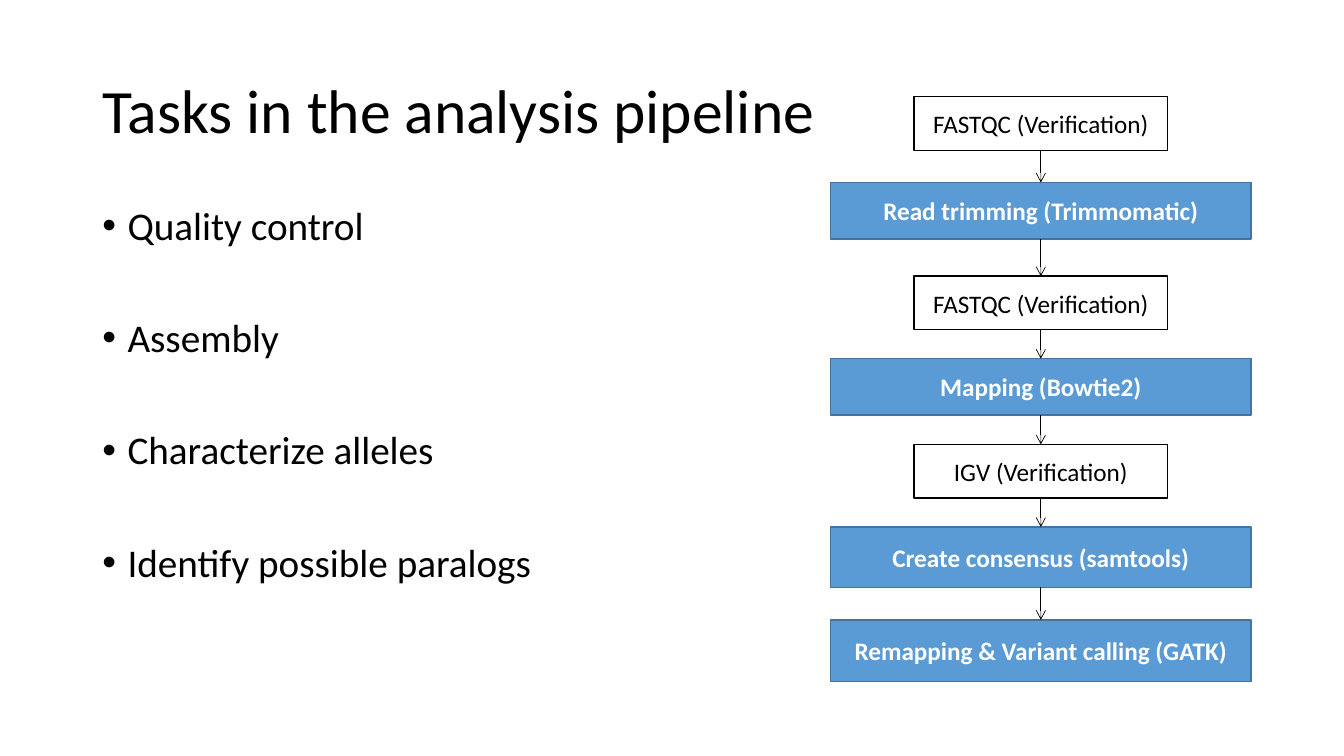
from itertools import pairwise

from lxml.etree import SubElement as Sub
from pptx import Presentation
from pptx.dml.color import RGBColor as Rgb
from pptx.enum.shapes import MSO_CONNECTOR as Link, MSO_SHAPE as Kind
from pptx.enum.text import MSO_ANCHOR as Anchor, MSO_AUTO_SIZE as Fit, PP_ALIGN as Align
from pptx.oxml.ns import qn
from pptx.util import Cm, Pt


def tint(code):
    return Rgb.from_string(code)


def apply(item, style):
    for name, value in style.items():
        setattr(item, name, value)


class Page:
    ink = "000000"
    face = "Calibri"
    task = {"fill": "5B9BD5", "edge": "43739E", "ink": "FFFFFF", "bold": True, "width": 10.6}
    check = {"fill": "FFFFFF", "edge": "000000", "ink": "000000", "bold": False, "width": 6.4}

    def __init__(self, deck):
        self.slide = deck.slides.add_slide(deck.slide_layouts[5])

    def place(self, shape, left, top, width, height):
        apply(shape, {"left": Cm(left), "top": Cm(top),
                      "width": Cm(width), "height": Cm(height)})

    def label(self, para, text, size, ink, bold=False, **style):
        para.text = text
        apply(para, style)
        apply(para.font, {"name": self.face, "size": Pt(size), "bold": bold})
        para.font.color.rgb = tint(ink)

    def title(self, text, *area):
        shape = self.slide.shapes.title
        self.place(shape, *area)
        apply(shape.text_frame, {"word_wrap": True, "auto_size": Fit.NONE,
                                 "vertical_anchor": Anchor.MIDDLE})
        self.label(shape.text_frame.paragraphs[0], text, 44, self.ink,
                   alignment=Align.LEFT, line_spacing=0.9)

    def bullets(self, lines, *area):
        box = self.slide.shapes.add_textbox(*map(Cm, area))
        frame = box.text_frame
        frame.word_wrap = True
        for i, text in enumerate(lines):
            para = frame.add_paragraph() if i else frame.paragraphs[0]
            self.label(para, text, 28, self.ink, line_spacing=0.9,
                       space_before=Pt(10), space_after=Pt(40))
            props = para._p.get_or_add_pPr()
            props.set("marL", str(Pt(18)))
            props.set("indent", str(-Pt(18)))
            Sub(props, qn("a:buFont"), typeface="Arial")
            Sub(props, qn("a:buChar"), char="•")

    def box(self, text, look, mid, top, height):
        width = look["width"]
        area = (mid - width / 2, top, width, height)
        shape = self.slide.shapes.add_shape(Kind.RECTANGLE, *map(Cm, area))
        shape.shadow.inherit = False
        shape.fill.solid()
        shape.fill.fore_color.rgb = tint(look["fill"])
        shape.line.color.rgb = tint(look["edge"])
        shape.line.width = Pt(1)
        apply(shape.text_frame, {"word_wrap": True, "vertical_anchor": Anchor.MIDDLE})
        self.label(shape.text_frame.paragraphs[0], text, 18, look["ink"],
                   look["bold"], alignment=Align.CENTER)
        return shape

    def arrow(self, start, end):
        line = self.slide.shapes.add_connector(Link.STRAIGHT, 0, 0, 0, 0)
        line.begin_connect(start, 2)
        line.end_connect(end, 0)
        line.line.color.rgb = tint(self.ink)
        line.line.width = Pt(0.5)
        Sub(line.line._get_or_add_ln(), qn("a:tailEnd"), type="arrow")
        Sub(line._element.spPr, qn("a:effectLst"))


def main():
    deck = Presentation()
    apply(deck, {"slide_width": Cm(33.87), "slide_height": Cm(19.05)})
    page = Page(deck)
    page.title("Tasks in the analysis pipeline", 2.33, 1.01, 29.21, 3.68)
    goals = ["Quality control", "Assembly", "Characterize alleles",
             "Identify possible paralogs"]
    page.bullets(goals, 2.33, 5.07, 18, 12.09)
    steps = [
        ("FASTQC (Verification)", page.check, 2.44, 1.35),
        ("Read trimming (Trimmomatic)", page.task, 4.6, 1.42),
        ("FASTQC (Verification)", page.check, 6.96, 1.35),
        ("Mapping (Bowtie2)", page.task, 9.04, 1.42),
        ("IGV (Verification)", page.check, 11.2, 1.35),
        ("Create consensus (samtools)", page.task, 13.28, 1.52),
        ("Remapping & Variant calling (GATK)", page.task, 15.62, 1.55),
    ]
    boxes = [page.box(text, look, 26.23, top, height) for text, look, top, height in steps]
    for start, end in pairwise(boxes):
        page.arrow(start, end)
    deck.save("out.pptx")


if __name__ == "__main__":
    main()
